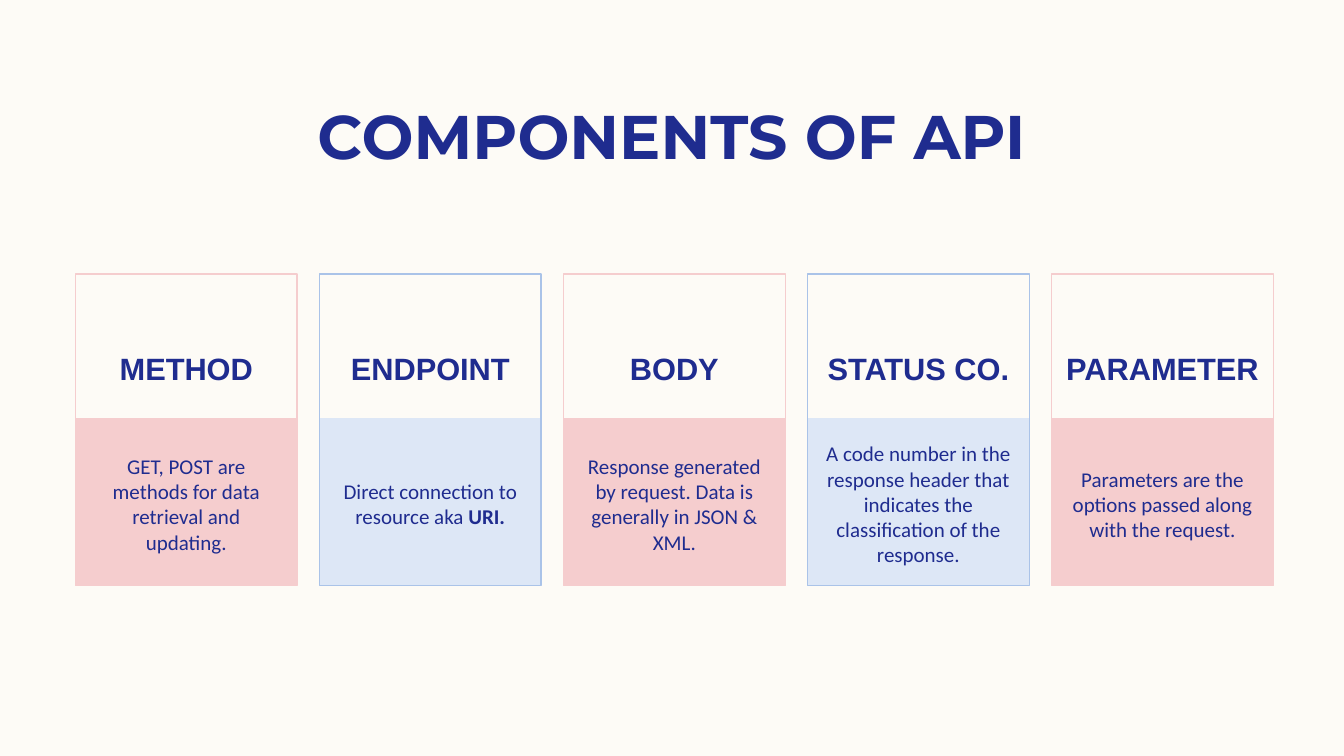
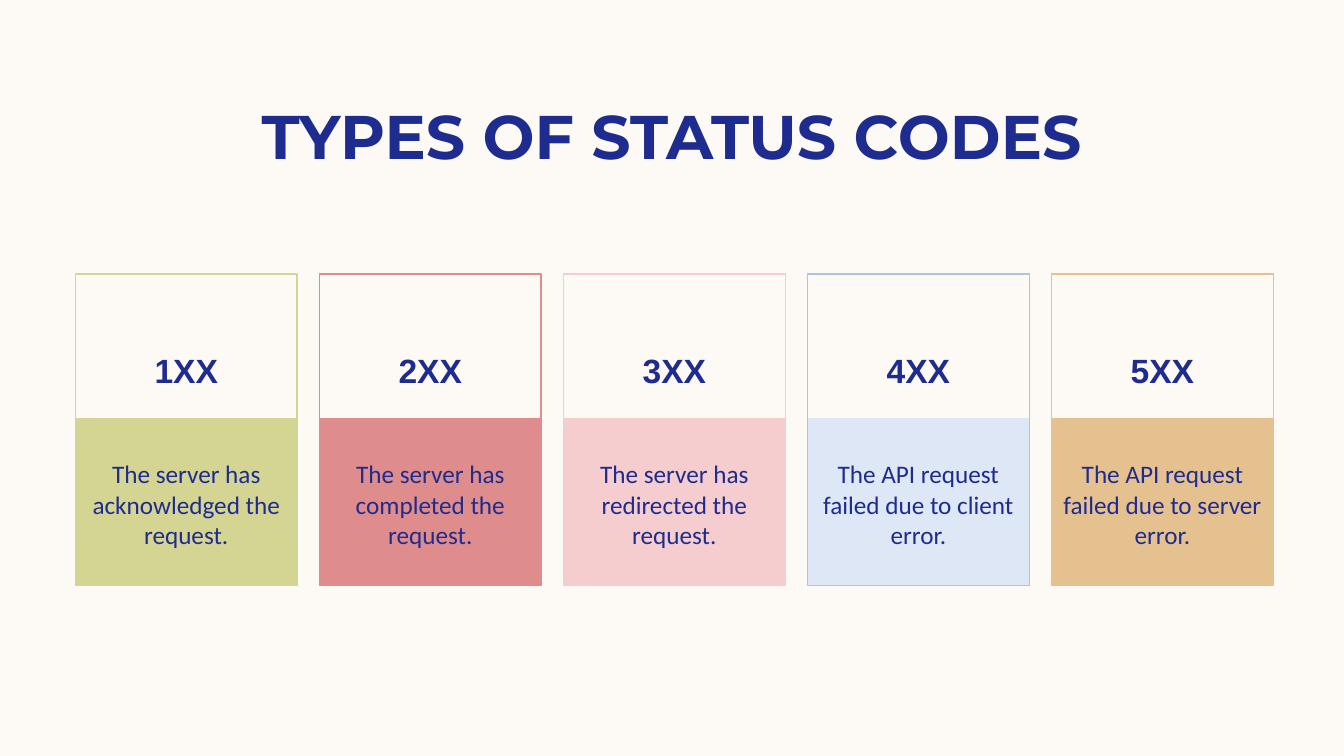
from dataclasses import dataclass

from pptx import Presentation
from pptx.dml.color import RGBColor
from pptx.enum.shapes import MSO_SHAPE
from pptx.enum.text import MSO_ANCHOR, PP_ALIGN
from pptx.util import Cm, Pt

NAVY = "1F2C8F"
ROSE = "F5CDCE"
SKY = "DDE7F6"
SKY_EDGE = "AAC3E8"
OLIVE = "D4D593"
CORAL = "DF8C8C"
SAND = "E6C190"

PAGE_WIDTH, PAGE_HEIGHT = 33.87, 19.05
TITLE_BOX = (2.11, 2.34, 29.64, 2.13)
CARD_ROW = (1.9, 6.91, 30.19, 7.85)
CARD_WIDTH = 5.59
PANEL_OFFSET = 3.63


@dataclass
class Card:
    """Content and colours of one card."""
    heading: str
    body: str
    fill: str
    edge: str
    strong: str = ""


@dataclass
class CardStyle:
    """Text sizes and the side inset shared by the cards of one page."""
    heading_size: float
    body_size: float
    side_inset: float


def color(value):
    """Turn a hex string into a colour."""
    return RGBColor.from_string(value)


def write(shape, text, font, size, bold=False, anchor=MSO_ANCHOR.TOP,
          insets=(0.25, 0.13, 0.25, 0.13), strong=""):
    """Write centred navy text, optionally ending in a bold span."""
    frame = shape.text_frame
    frame.word_wrap = True
    frame.vertical_anchor = anchor
    (frame.margin_left, frame.margin_top,
     frame.margin_right, frame.margin_bottom) = map(Cm, insets)
    frame.text = text
    para = frame.paragraphs[0]
    para.alignment = PP_ALIGN.CENTER
    if strong:
        para.add_run().text = strong
    for span in para.runs:
        span.font.name = font
        span.font.size = Pt(size)
        span.font.bold = bold or span.text == strong
        span.font.color.rgb = color(NAVY)


def add_rectangle(page, box, fill=None, edge=None):
    """Add a flat rectangle with an optional fill and edge."""
    shape = page.shapes.add_shape(MSO_SHAPE.RECTANGLE, *map(Cm, box))
    shape.shadow.inherit = False
    if fill:
        shape.fill.solid()
        shape.fill.fore_color.rgb = color(fill)
    else:
        shape.fill.background()
    if edge:
        shape.line.color.rgb = color(edge)
        shape.line.width = Pt(1)
    else:
        shape.line.fill.background()
    return shape


def add_title(page, text, box):
    """Add the page title."""
    title = page.shapes.add_textbox(*map(Cm, box))
    write(title, text, "Montserrat", 44, bold=True)


def add_card(page, card, style, box):
    """Add a card: a filled body panel inside an outlined frame."""
    left, top, width, height = box
    panel = add_rectangle(
        page, (left, top + PANEL_OFFSET, width, height - PANEL_OFFSET), fill=card.fill)
    write(panel, card.body, "Calibri", style.body_size, anchor=MSO_ANCHOR.MIDDLE,
          insets=(style.side_inset, 0.23, style.side_inset, 0.13), strong=card.strong)
    frame = add_rectangle(page, box, edge=card.edge)
    write(frame, card.heading, "Arial", style.heading_size, bold=True,
          insets=(0.25, 1.9, 0.25, 0.13))


def add_card_row(page, cards, style, box):
    """Spread cards evenly across a row."""
    left, top, width, height = box
    pitch = (width - CARD_WIDTH) / (len(cards) - 1)
    for index, card in enumerate(cards):
        add_card(page, card, style, (left + index * pitch, top, CARD_WIDTH, height))


def add_card_page(deck, background, title, cards, style):
    """Add a page with a title and a row of cards."""
    page = deck.slides.add_slide(deck.slide_layouts[6])
    page.background.fill.solid()
    page.background.fill.fore_color.rgb = color(background)
    add_title(page, title, TITLE_BOX)
    add_card_row(page, cards, style, CARD_ROW)


def main():
    """Build and save the deck."""
    deck = Presentation()
    deck.slide_width, deck.slide_height = Cm(PAGE_WIDTH), Cm(PAGE_HEIGHT)
    add_card_page(deck, "FDFBF6", "COMPONENTS OF API", [
        Card("METHOD", "GET, POST are methods for data retrieval and updating.", ROSE, ROSE),
        Card("ENDPOINT", "Direct connection to resource aka ", SKY, SKY_EDGE, "URI."),
        Card("BODY", "Response generated by request. Data is generally in JSON & XML.",
             ROSE, ROSE),
        Card("STATUS CO.", "A code number in the response header that indicates "
             "the classification of the response.", SKY, SKY_EDGE),
        Card("PARAMETER", "Parameters are the options passed along with the request.",
             ROSE, ROSE),
    ], CardStyle(22, 15, 0.38))
    add_card_page(deck, "FDFAF6", "TYPES OF STATUS CODES", [
        Card("1XX", "The server has acknowledged the request.", OLIVE, OLIVE),
        Card("2XX", "The server has completed the request.", CORAL, CORAL),
        Card("3XX", "The server has redirected the request.", ROSE, ROSE),
        Card("4XX", "The API request failed due to client error.", SKY, SKY_EDGE),
        Card("5XX", "The API request failed due to server error.", SAND, SAND),
    ], CardStyle(24, 18, 0.25))
    deck.save("out.pptx")


if __name__ == "__main__":
    main()
